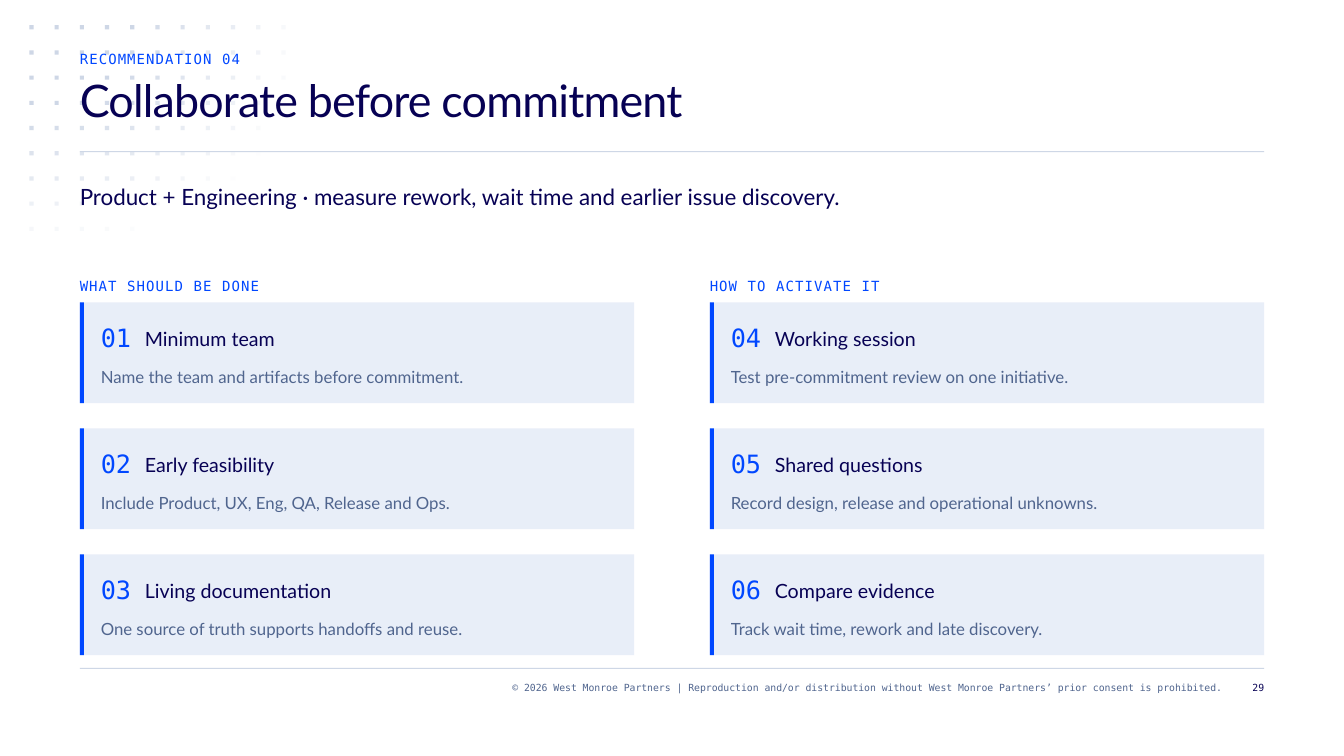
from itertools import product
from math import hypot

from lxml.etree import SubElement
from pptx import Presentation
from pptx.dml.color import RGBColor
from pptx.enum.shapes import MSO_SHAPE
from pptx.enum.text import MSO_ANCHOR, MSO_AUTO_SIZE, PP_ALIGN
from pptx.oxml.ns import qn
from pptx.util import Pt

KICKER = "RECOMMENDATION 04"
TITLE = "Collaborate before commitment"
SUMMARY = "Product + Engineering · measure rework, wait time and earlier issue discovery."
COLUMNS = [
    ("WHAT SHOULD BE DONE", [
        ("01", "Minimum team", "Name the team and artifacts before commitment."),
        ("02", "Early feasibility", "Include Product, UX, Eng, QA, Release and Ops."),
        ("03", "Living documentation", "One source of truth supports handoffs and reuse."),
    ]),
    ("HOW TO ACTIVATE IT", [
        ("04", "Working session", "Test pre-commitment review on one initiative."),
        ("05", "Shared questions", "Record design, release and operational unknowns."),
        ("06", "Compare evidence", "Track wait time, rework and late discovery."),
    ]),
]
COPYRIGHT = (
    "© 2026 West Monroe Partners | Reproduction and/or distribution without "
    "West Monroe Partners’ prior consent is prohibited."
)
PAGE = "29"

MONO, SANS = "DejaVu Sans Mono", "Lato"
NAVY, BLUE, SLATE, MIST, PALE = "070154", "0047FF", "50658E", "CED7E6", "E8EEF8"

STYLES = {
    "label": (MONO, 10, BLUE, 12, 0.8),
    "title": (SANS, 32, NAVY, 36, -0.6),
    "summary": (SANS, 16, NAVY, 24, 0),
    "number": (MONO, 18, BLUE, 24, 0),
    "heading": (SANS, 14, NAVY, 21, 0),
    "detail": (SANS, 12, SLATE, 18, 0),
    "copyright": (MONO, 7, SLATE, 9, 0),
    "page": (MONO, 7, NAVY, 9, 0),
}

LEFT, WIDTH = 57, 846
CARD_WIDTH, CARD_HEIGHT, CARD_TOP, CARD_STEP = 396, 72, 216, 90
COLUMN_STEP = WIDTH - CARD_WIDTH
DOT_STEP, DOT_SIZE = 18, 3
FADE_COLUMNS, FADE_ROWS, FADE_STRENGTH = 11.08, 9.07, 153


def color(hex_value):
    return RGBColor.from_string(hex_value)


def add_block(shapes, x, y, width, height, fill, opacity=100):
    block = shapes.add_shape(MSO_SHAPE.RECTANGLE, Pt(x), Pt(y), Pt(width), Pt(height))
    block.shadow.inherit = False
    block.line.fill.background()
    block.fill.solid()
    block.fill.fore_color.rgb = color(fill)
    if opacity < 100:
        tint = block.fill._xPr.find(".//" + qn("a:srgbClr"))
        SubElement(tint, qn("a:alpha"), val=str(opacity * 1000))


def write(box, text, style, align=PP_ALIGN.LEFT):
    typeface, size, ink, leading, tracking = STYLES[style]
    frame = box.text_frame
    frame.text = text
    frame.word_wrap = True
    frame.auto_size = MSO_AUTO_SIZE.NONE
    frame.vertical_anchor = MSO_ANCHOR.TOP
    frame.margin_left = frame.margin_right = frame.margin_top = frame.margin_bottom = 0
    line = frame.paragraphs[0]
    line.alignment = align
    line.line_spacing = Pt(leading)
    line.space_before = Pt(0)
    run = line.runs[0]
    run.font.name = typeface
    run.font.size = Pt(size)
    run.font.color.rgb = color(ink)
    if tracking:
        run.font._element.set("spc", str(round(tracking * 100)))


def add_text(shapes, x, y, width, height, text, style, align=PP_ALIGN.LEFT):
    box = shapes.add_textbox(Pt(x), Pt(y), Pt(width), Pt(height))
    write(box, text, style, align)


def add_dots(shapes):
    for column, row in product(range(11), range(9)):
        distance = hypot(column / FADE_COLUMNS, row / FADE_ROWS)
        opacity = min(100, round(FADE_STRENGTH * (1 - distance)))
        if opacity >= 2:
            add_block(shapes, 21 + column * DOT_STEP, 18 + row * DOT_STEP,
                      DOT_SIZE, DOT_SIZE, MIST, opacity)


def add_title(slide):
    title = slide.shapes.title
    title.left, title.top, title.width, title.height = Pt(LEFT), Pt(54), Pt(WIDTH), Pt(54)
    write(title, TITLE, "title")
    slide.shapes._spTree.append(title._element)


def add_card(slide, x, y, number, heading, detail):
    card = slide.shapes.add_group_shape().shapes
    add_block(card, x, y, CARD_WIDTH, CARD_HEIGHT, PALE)
    add_block(card, x, y, 3, CARD_HEIGHT, BLUE)
    add_text(card, x + 15, y + 12, 22.5, 24, number, "number")
    add_text(card, x + 46.5, y + 13.5, 337.5, 21, heading, "heading")
    add_text(card, x + 15, y + 42, 369, 18, detail, "detail")


def main():
    deck = Presentation()
    deck.slide_width, deck.slide_height = Pt(960), Pt(540)
    slide = deck.slides.add_slide(deck.slide_layouts[5])
    shapes = slide.shapes

    add_dots(shapes)
    for rule_top in (108, 477):
        add_block(shapes, LEFT, rule_top, WIDTH, 0.75, MIST)
    add_text(shapes, LEFT, 36, WIDTH, 12, KICKER, "label")
    add_title(slide)
    add_text(shapes, LEFT, 126, WIDTH, 24, SUMMARY, "summary")

    for column, (label, cards) in enumerate(COLUMNS):
        x = LEFT + column * COLUMN_STEP
        add_text(shapes, x, 198, CARD_WIDTH, 12, label, "label")
        for row, card in enumerate(cards):
            add_card(slide, x, CARD_TOP + row * CARD_STEP, *card)

    add_text(shapes, 171, 486, 702, 18, COPYRIGHT, "copyright", PP_ALIGN.RIGHT)
    add_text(shapes, 879, 486, 24, 18, PAGE, "page", PP_ALIGN.RIGHT)
    deck.save("out.pptx")


if __name__ == "__main__":
    main()
